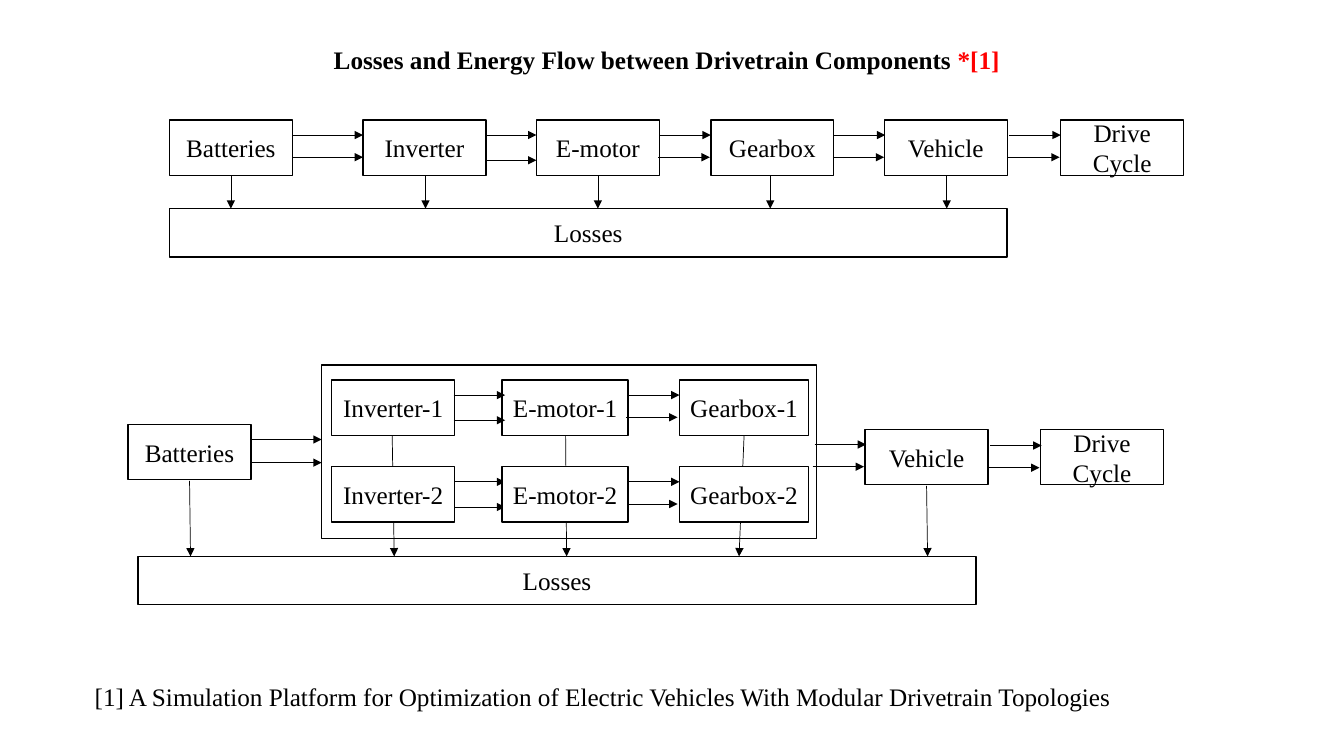
import lxml.etree
import pptx
import pptx.dml.color
import pptx.enum.shapes
import pptx.enum.text
import pptx.oxml.ns
import pptx.util
from pptx.util import Inches

BLACK = pptx.dml.color.RGBColor(0x00, 0x00, 0x00)
WHITE = pptx.dml.color.RGBColor(0xFF, 0xFF, 0xFF)
RED = pptx.dml.color.RGBColor(0xFF, 0x00, 0x00)
FONT = "Times New Roman"
BOX_WIDTH, BOX_HEIGHT = 1.22, 0.55
LOSSES_WIDTH, LOSSES_HEIGHT = 8.31, 0.48

deck = pptx.Presentation()
deck.slide_width = Inches(13.33)
deck.slide_height = Inches(7.5)
slide = deck.slides.add_slide(deck.slide_layouts[5])


def add_box(label, left, top, width=BOX_WIDTH, height=BOX_HEIGHT, filled=False):
    box = slide.shapes.add_shape(
        pptx.enum.shapes.MSO_SHAPE.RECTANGLE,
        Inches(left), Inches(top), Inches(width), Inches(height))
    box.shadow.inherit = False
    if filled:
        box.fill.solid()
        box.fill.fore_color.rgb = WHITE
    else:
        box.fill.background()
    box.line.color.rgb = BLACK
    box.line.width = pptx.util.Pt(1)
    if label:
        box.text_frame.text = label
        para = box.text_frame.paragraphs[0]
        para.alignment = pptx.enum.text.PP_ALIGN.CENTER
        para.font.name = FONT
        para.font.size = pptx.util.Pt(18)
        para.font.color.rgb = BLACK


def add_arrow(start_x, start_y, end_x, end_y):
    arrow = slide.shapes.add_connector(
        pptx.enum.shapes.MSO_CONNECTOR.STRAIGHT,
        Inches(start_x), Inches(start_y), Inches(end_x), Inches(end_y))
    arrow.line.color.rgb = BLACK
    arrow.line.width = pptx.util.Pt(0.5)
    properties = arrow.element.spPr
    line = properties.find(pptx.oxml.ns.qn("a:ln"))
    lxml.etree.SubElement(line, pptx.oxml.ns.qn("a:tailEnd"), type="triangle")
    lxml.etree.SubElement(properties, pptx.oxml.ns.qn("a:effectLst"))


# Title
title = slide.shapes.title
title.left, title.top = Inches(3.21), Inches(0.39)
title.width, title.height = Inches(6.87), Inches(0.4)
title.text_frame.word_wrap = False
title.text_frame.auto_size = pptx.enum.text.MSO_AUTO_SIZE.NONE
para = title.text_frame.paragraphs[0]
para.alignment = pptx.enum.text.PP_ALIGN.LEFT
para.font.name = FONT
para.font.size = pptx.util.Pt(18)
para.font.bold = True
for words, color in [
        ("Losses and Energy Flow between Drivetrain Components ", BLACK),
        ("*[1]", RED)]:
    span = para.add_run()
    span.text = words
    span.font.color.rgb = color

# Energy flow pairs: start, end, y of upper arrow, drop and shift of lower arrow
flow_pairs = [
    # Single drivetrain
    (2.9, 3.6, 1.34, 0.22, 0),
    (4.82, 5.32, 1.34, 0.25, 0),
    (6.54, 7.05, 1.34, 0.22, -0.01),
    (8.27, 8.78, 1.34, 0.22, -0.01),
    (10.01, 10.52, 1.34, 0.22, -0.01),
    # Modular drivetrain
    (2.49, 3.19, 4.36, 0.23, 0),
    (8.08, 8.59, 4.41, 0.22, -0.02),
    (9.82, 10.33, 4.42, 0.22, -0.02),
]
for row_y in (3.92, 4.78):
    flow_pairs += [(4.5, 5.01, row_y, 0.25, 0), (6.23, 6.74, row_y, 0.22, -0.02)]
for start, end, y, drop, shift in flow_pairs:
    add_arrow(start, y, end, y)
    add_arrow(start + shift, y + drop, end + shift, y + drop)

# Arrows down to the losses
for x in (2.29, 4.22, 5.93, 7.64, 9.39):
    add_arrow(x, 1.74, x, 2.07)
for start_x, start_y, end_x in [
        (1.88, 4.77, 1.89), (3.89, 4.32, 3.91), (5.61, 4.32, 5.62),
        (7.38, 4.32, 7.33), (9.19, 4.82, 9.2)]:
    add_arrow(start_x, start_y, end_x, 5.52)

# Single drivetrain
for label, left in [
        ("Batteries", 1.68), ("Inverter", 3.6), ("E-motor", 5.32),
        ("Gearbox", 7.05), ("Vehicle", 8.77), ("Drive Cycle", 10.52)]:
    add_box(label, left, 1.19)
add_box("Losses", 1.68, 2.07, LOSSES_WIDTH, LOSSES_HEIGHT, filled=True)

# Modular drivetrain with two parallel modules in a frame
for label, left, top in [
        ("Batteries", 1.27, 4.21), ("Vehicle", 8.58, 4.26),
        ("Drive Cycle", 10.32, 4.26)]:
    add_box(label, left, top)
add_box("Losses", 1.37, 5.52, LOSSES_WIDTH, LOSSES_HEIGHT, filled=True)
for module, top in [(1, 3.77), (2, 4.63)]:
    for part, left, width in [
            ("Inverter", 3.29, BOX_WIDTH), ("E-motor", 4.98, 1.25),
            ("Gearbox", 6.74, 1.28)]:
        add_box(f"{part}-{module}", left, top, width, filled=module == 2)
add_box("", 3.19, 3.62, 4.91, 1.72)

# Reference
reference = slide.shapes.add_textbox(
    Inches(0.84), Inches(6.71), Inches(10.89), Inches(0.4))
reference.text_frame.word_wrap = True
reference.text_frame.text = (
    "[1] A Simulation Platform for Optimization of Electric Vehicles "
    "With Modular Drivetrain Topologies")
para = reference.text_frame.paragraphs[0]
para.font.name = FONT
para.font.size = pptx.util.Pt(18)
para.font.color.rgb = BLACK

deck.save("out.pptx")
